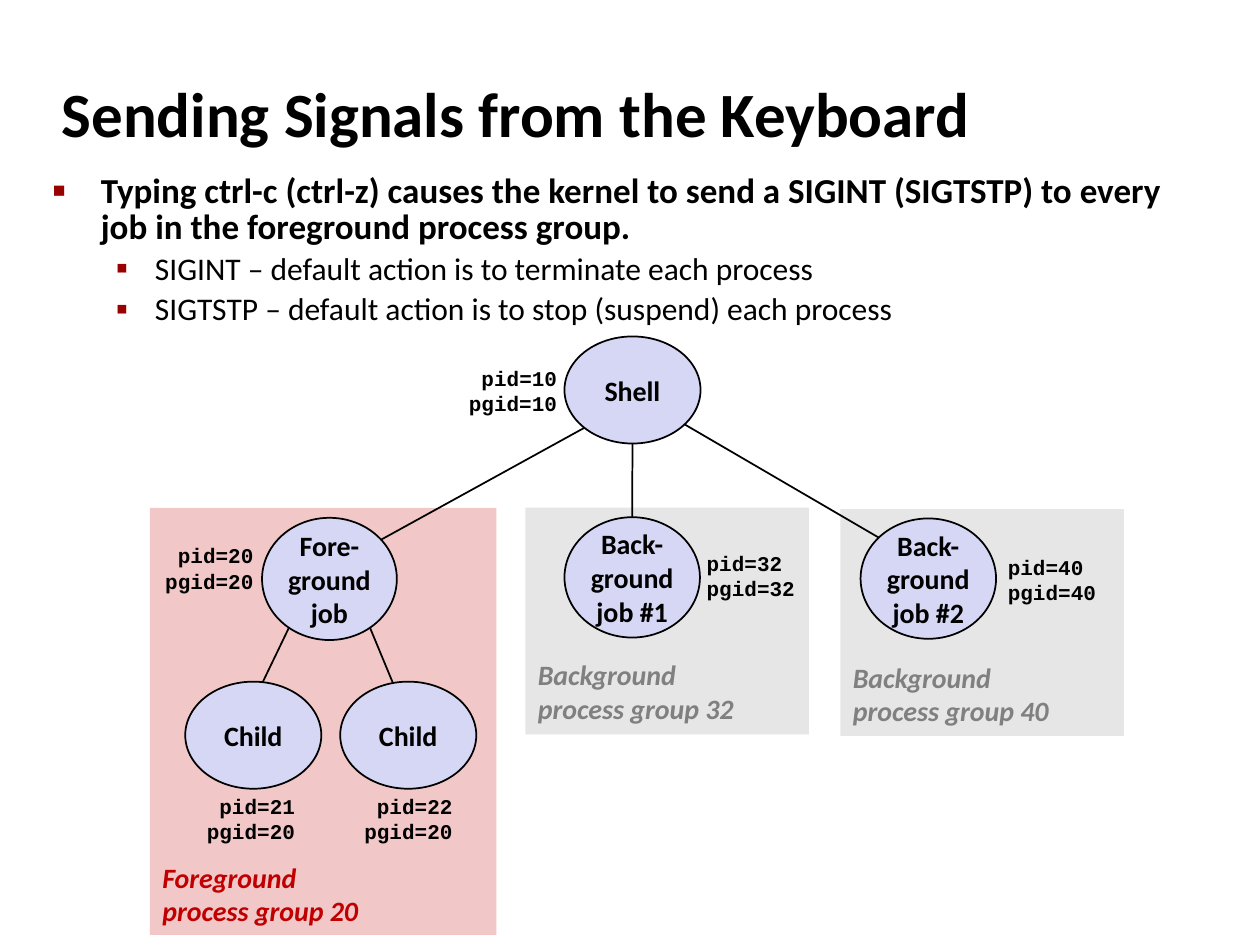
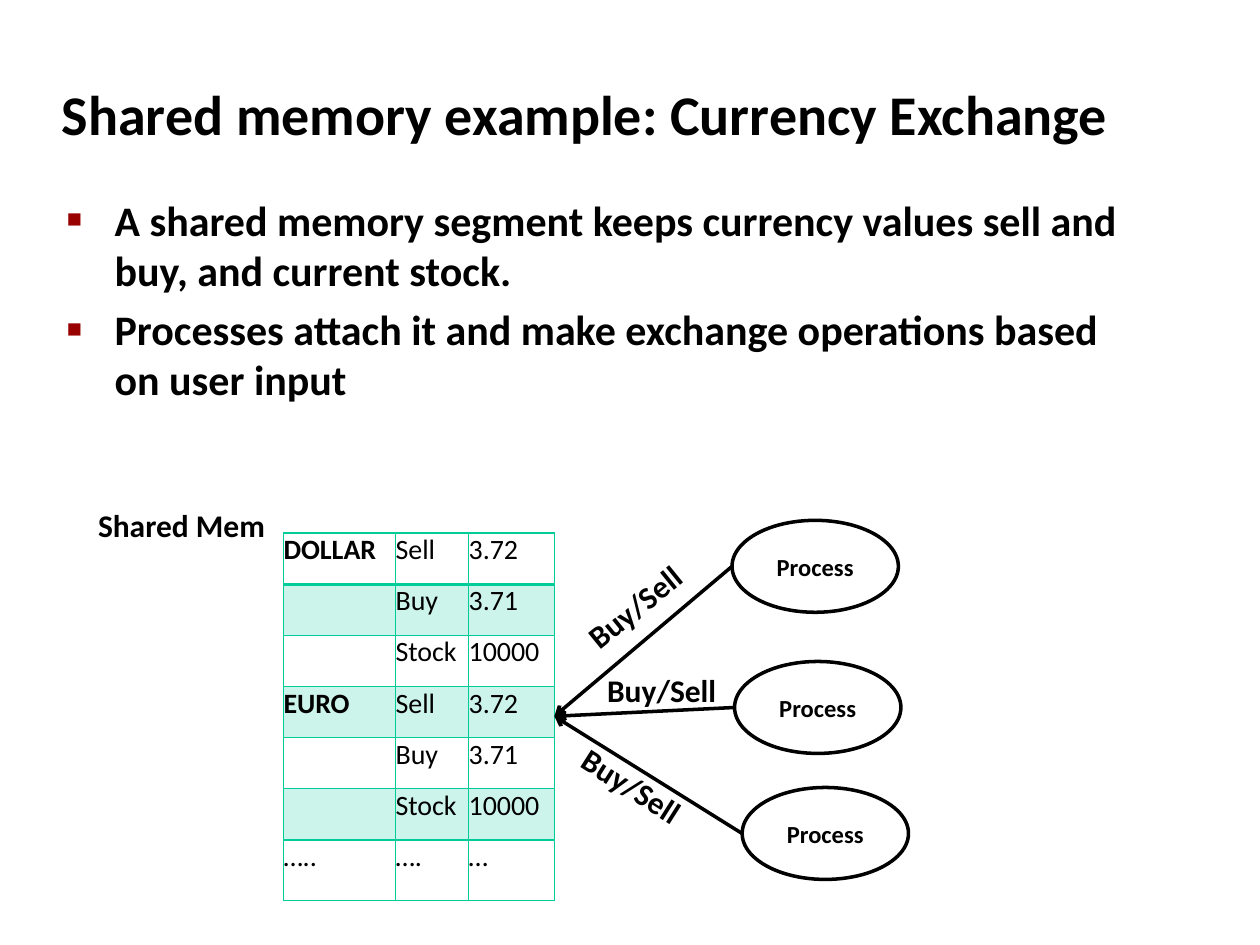
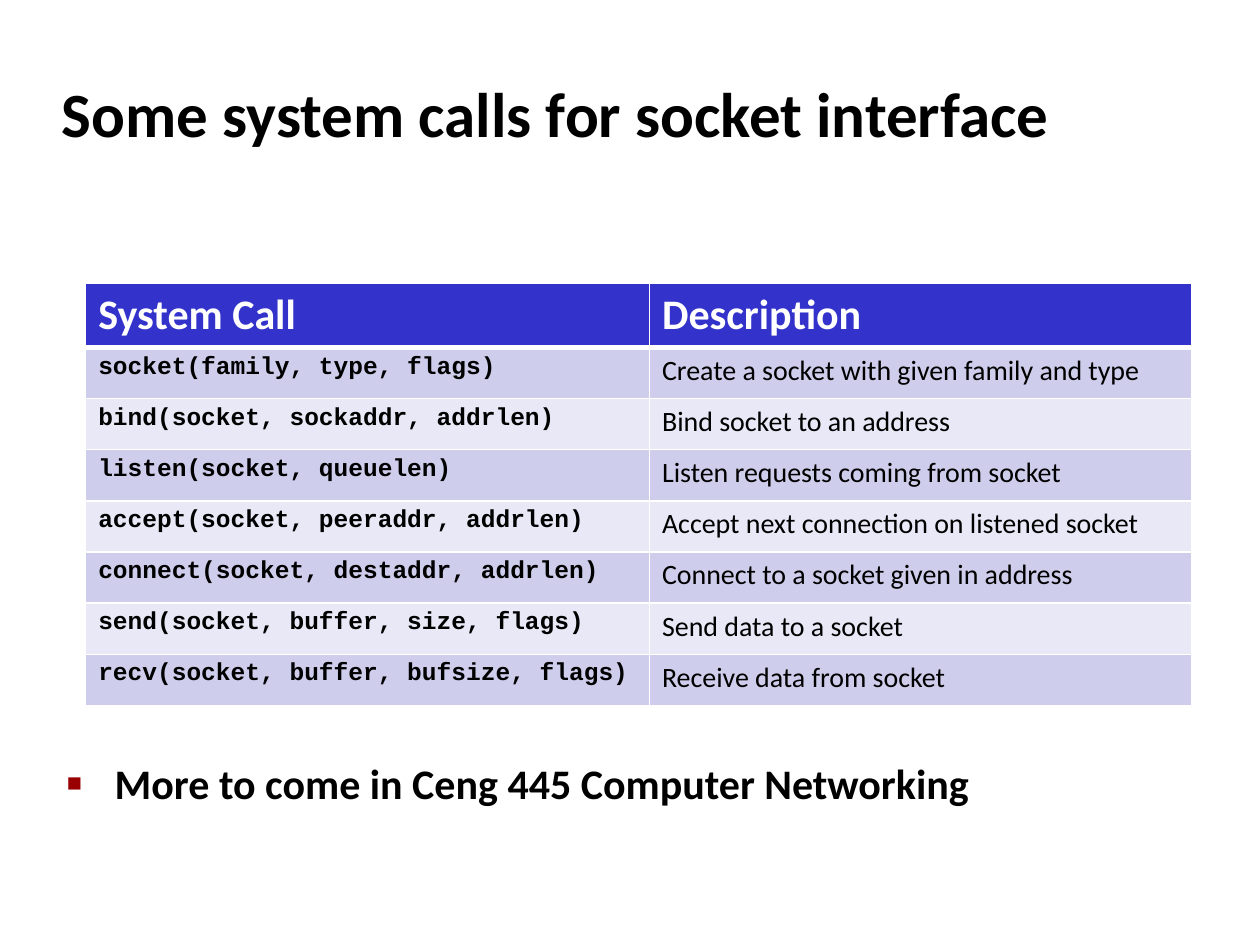
from dataclasses import dataclass, field, replace
from math import cos, radians, sin

from lxml.etree import SubElement
from pptx import Presentation
from pptx.dml.color import RGBColor
from pptx.enum.shapes import MSO_CONNECTOR, MSO_SHAPE
from pptx.enum.text import MSO_ANCHOR, MSO_AUTO_SIZE, PP_ALIGN
from pptx.oxml.ns import qn
from pptx.util import Inches, Pt

COLUMNS, ROWS = 100, 75
SLIDE_WIDTH, SLIDE_HEIGHT = Inches(10), Inches(7.5)


@dataclass(frozen=True)
class Style:
    """Look of a run of text."""
    size: float
    bold: bool = True
    italic: bool = False
    color: str = "000000"
    font: str = "Calibri"


@dataclass(frozen=True)
class Bullet:
    """Mark, spacing and text look of one list level."""
    mark: str
    scale: int
    margin: float
    hang: float
    style: Style
    spacing: float = 1.0


@dataclass(frozen=True)
class CellLook:
    """Text look, fill, opacity and lower border of a table cell."""
    style: Style
    fill: str = ""
    opacity: int = 100
    lower_border: float = 1


@dataclass(frozen=True)
class Theme:
    """Colours and type styles shared by the slides."""
    ink: str = "000000"
    white: str = "FFFFFF"
    bullet: str = "990000"
    node: str = "D6D6F5"
    foreground: str = "F1C7C7"
    background: str = "E6E6E6"
    mint: str = "00CC99"
    header: str = "3333CC"
    bands: tuple = ("CECEEC", "E8E8F6")
    title: Style = Style(36)
    job: Style = Style(16)
    pid: Style = Style(12, font="Courier New")
    group: Style = Style(16, italic=True, color="808080")
    memory: Style = Style(18)
    process: Style = Style(14)
    value: Style = Style(16, bold=False)
    code: Style = Style(14, font="Courier New")
    heading: Style = Style(24, color="FFFFFF")
    point: Bullet = field(default=Bullet("■", 60, 0.38, 0.38, Style(24)))
    subpoint: Bullet = field(default=Bullet("▪", 110, 0.81, 0.31, Style(18, bold=False), 0.9))


THEME = Theme()


@dataclass(frozen=True)
class Box:
    """Region measured in columns and rows of the slide grid."""
    left: float
    top: float
    width: float
    height: float

    def at(self, column, row, width, height):
        """Return a region offset from this one."""
        return Box(self.left + column, self.top + row, width, height)

    def rim(self, degrees):
        """Return the point on the inscribed ellipse, clockwise from the right."""
        angle = radians(degrees)
        return (self.left + self.width / 2 * (1 + cos(angle)),
                self.top + self.height / 2 * (1 + sin(angle)))

    def emu(self):
        """Return left, top, width and height as slide lengths."""
        return *to_emu(self.left, self.top), *to_emu(self.width, self.height)


PAGE = Box(0, 0, COLUMNS, ROWS)


def to_emu(column, row):
    """Turn a grid position into slide lengths."""
    return int(column * SLIDE_WIDTH / COLUMNS), int(row * SLIDE_HEIGHT / ROWS)


def add_run(paragraph, text, style):
    """Append one styled run."""
    run = paragraph.add_run()
    run.text = text
    run.font.name, run.font.size = style.font, Pt(style.size)
    run.font.bold, run.font.italic = style.bold, style.italic
    run.font.color.rgb = RGBColor.from_string(style.color)


def write(frame, lines, style, align=PP_ALIGN.LEFT):
    """Write each line as a paragraph."""
    for index, line in enumerate(lines):
        paragraph = frame.add_paragraph() if index else frame.paragraphs[0]
        paragraph.alignment = align
        add_run(paragraph, line, style)


def indent(paragraph, margin, hang):
    """Give a paragraph a hanging indent and return its properties."""
    properties = paragraph._p.get_or_add_pPr()
    properties.set("marL", str(Inches(margin)))
    properties.set("indent", str(-Inches(hang)))
    return properties


def place(holder, box):
    """Move a placeholder into a region."""
    holder.left, holder.top, holder.width, holder.height = box.emu()
    holder.text_frame.auto_size = MSO_AUTO_SIZE.NONE
    return holder.text_frame


def add_page(deck, title, style=THEME.title, width=83):
    """Add a slide with its title in the shared position."""
    slide = deck.slides.add_slide(deck.slide_layouts[1])
    frame = place(slide.shapes.title, PAGE.at(3.9, 4.8, width, 8.3))
    frame.vertical_anchor = MSO_ANCHOR.MIDDLE
    write(frame, [title], style)
    indent(frame.paragraphs[0], 0.13, 0.13)
    return slide


def fill_list(slide, box, items):
    """Fill the body placeholder with (level, bullet, text) items."""
    frame = place(slide.placeholders[1], box)
    for index, (level, bullet, text) in enumerate(items):
        paragraph = frame.add_paragraph() if index else frame.paragraphs[0]
        paragraph.level = level
        paragraph.line_spacing = bullet.spacing
        properties = indent(paragraph, bullet.margin, bullet.hang)
        SubElement(SubElement(properties, qn("a:buClr")), qn("a:srgbClr"), val=THEME.bullet)
        SubElement(properties, qn("a:buSzPct"), val=str(bullet.scale * 1000))
        SubElement(properties, qn("a:buFont"), typeface="Arial")
        SubElement(properties, qn("a:buChar"), char=bullet.mark)
        add_run(paragraph, text, bullet.style)


def add_figure(slide, kind, box, fill="", line=0):
    """Add a preset shape with a plain fill and outline."""
    figure = slide.shapes.add_shape(kind, *box.emu())
    figure.shadow.inherit = False
    if fill:
        figure.fill.solid()
        figure.fill.fore_color.rgb = RGBColor.from_string(fill)
    else:
        figure.fill.background()
    if line:
        figure.line.color.rgb = RGBColor.from_string(THEME.ink)
        figure.line.width = Pt(line)
    else:
        figure.line.fill.background()
    return figure


def add_oval(slide, box, lines, style, fill="", line=1, wrap=False):
    """Add a labelled ellipse and return its region."""
    frame = add_figure(slide, MSO_SHAPE.OVAL, box, fill, line).text_frame
    frame.word_wrap = wrap
    frame.vertical_anchor = MSO_ANCHOR.MIDDLE
    write(frame, lines, style, PP_ALIGN.CENTER)
    return box


def add_label(slide, box, lines, style, align=PP_ALIGN.LEFT, rotation=0):
    """Add free text that keeps its lines unbroken."""
    label = slide.shapes.add_textbox(*box.emu())
    label.rotation = rotation
    label.text_frame.word_wrap = False
    label.text_frame.auto_size = MSO_AUTO_SIZE.SHAPE_TO_FIT_TEXT
    write(label.text_frame, lines, style, align)


def add_link(slide, start, end, width=1, arrow=False):
    """Draw a straight line between two grid points."""
    link = slide.shapes.add_connector(MSO_CONNECTOR.STRAIGHT, *to_emu(*start), *to_emu(*end))
    link.line.color.rgb = RGBColor.from_string(THEME.ink)
    link.line.width = Pt(width)
    if arrow:
        SubElement(link.line._get_or_add_ln(), qn("a:tailEnd"), type="arrow")
    SubElement(link._element.spPr, qn("a:effectLst"))


def add_border(cell, side, color, width):
    """Draw one border of a table cell."""
    edge = SubElement(cell._tc.get_or_add_tcPr(), qn(f"a:{side}"), w=str(Pt(width)))
    SubElement(SubElement(edge, qn("a:solidFill")), qn("a:srgbClr"), val=color)


def add_grid(slide, box, widths, heights, records, look, border, inset=None):
    """Add a table whose cells take their look from look(row, column)."""
    grid = slide.shapes.add_table(len(records), len(widths), *box.emu()).table
    grid.first_row = grid.horz_banding = False
    for column, width in zip(grid.columns, widths):
        column.width = to_emu(width, 0)[0]
    for row, height in zip(grid.rows, heights):
        row.height = to_emu(0, height)[1]
    for r, record in enumerate(records):
        for c, text in enumerate(record):
            cell, cell_look = grid.cell(r, c), look(r, c)
            if inset is not None:
                cell.margin_left = cell.margin_right = inset
                cell.margin_top = cell.margin_bottom = inset
            upper = look(r - 1, c).lower_border if r else 1
            for side, weight in (("lnL", 1), ("lnR", 1), ("lnT", upper),
                                 ("lnB", cell_look.lower_border)):
                add_border(cell, side, border, weight)
            if cell_look.fill:
                cell.fill.solid()
                cell.fill.fore_color.rgb = RGBColor.from_string(cell_look.fill)
                if cell_look.opacity < 100:
                    tint = cell._tc.tcPr.find(qn("a:solidFill"))[0]
                    SubElement(tint, qn("a:alpha"), val=str(cell_look.opacity * 1000))
            else:
                cell.fill.background()
            if text:
                write(cell.text_frame, [text], cell_look.style)


def add_pid(slide, box, pid, group, align=PP_ALIGN.LEFT):
    """Label a process with its process and group numbers."""
    add_label(slide, box, [f"pid={pid}", f"pgid={group}"], THEME.pid, align)


def background_group(slide, box, number, group, job_column, pid_spot, name_row):
    """Draw a background process group and return its job's region."""
    add_figure(slide, MSO_SHAPE.RECTANGLE, box, THEME.background)
    job = add_oval(slide, box.at(job_column, 0.75, 10.75, 9.55),
                   ["Back-", "ground", f"job #{number}"], THEME.job, THEME.node)
    add_pid(slide, box.at(*pid_spot, 9.1, 5), group, group)
    add_label(slide, box.at(0, name_row, 17.8, 6.4),
              ["Background", f"process group {group}"], THEME.group)
    return job


def foreground_group(slide, box):
    """Draw the foreground process group and return its job's region."""
    add_figure(slide, MSO_SHAPE.RECTANGLE, box, THEME.foreground)
    job = add_oval(slide, box.at(8.9, 0.8, 10.7, 9.7),
                   ["Fore-", "ground", "job"], THEME.job, THEME.node)
    add_pid(slide, box.at(0.1, 2.3, 9.1, 5), 20, 20, PP_ALIGN.RIGHT)
    for index, (leave, arrive) in enumerate(((127, -82), (53, -103))):
        child = add_oval(slide, box.at(2.8 + 12.3 * index, 13.8, 10.8, 8.5),
                         ["Child"], THEME.job, THEME.node)
        add_link(slide, job.rim(leave), child.rim(arrive))
        add_pid(slide, box.at(3.4 + 12.5 * index, 22.2, 9.1, 5), 21 + index, 20, PP_ALIGN.RIGHT)
    add_label(slide, box.at(0, 27.5, 19.3, 6.4), ["Foreground", "process group 20"],
              replace(THEME.group, color="C00000"))
    return job


def process_tree(slide, box):
    """Draw the shell above its three process groups."""
    second = background_group(slide, box.at(54.8, 13.7, 22.5, 18), 2, 40, 1.6, (12.3, 3.1), 11.5)
    first = background_group(slide, box.at(29.8, 13.6, 22.5, 18), 1, 32, 3.1, (13.4, 2.9), 11.4)
    foreground = foreground_group(slide, box.at(0, 13.6, 27.5, 33.9))
    shell = add_oval(slide, box.at(32.9, 0, 10.8, 8.5), ["Shell"], THEME.job, THEME.node)
    add_pid(slide, box.at(24.2, 1.8, 9.1, 5), 10, 10, PP_ALIGN.RIGHT)
    for job, leave, arrive in ((foreground, 135, -40), (first, 90, -90), (second, 40, -137)):
        add_link(slide, shell.rim(leave), job.rim(arrive))


def signals_page(deck):
    """Build the slide on signals from the keyboard."""
    slide = add_page(deck, "Sending Signals from the Keyboard")
    lead = replace(THEME.point, style=Style(20), spacing=0.85)
    fill_list(slide, PAGE.at(3.2, 13.4, 90.9, 14.1), [
        (0, lead, "Typing ctrl-c (ctrl-z) causes the kernel to send a SIGINT (SIGTSTP) "
                  "to every job in the foreground process group."),
        (1, THEME.subpoint, "SIGINT – default action is to terminate each process"),
        (1, THEME.subpoint, "SIGTSTP – default action is to stop (suspend) each process"),
    ])
    process_tree(slide, PAGE.at(11.9, 26.7, 77.3, 47.5))


def rate_look(row, column):
    """Return the look of a cell in the currency table."""
    style = replace(THEME.value, bold=column == 0 and row < 6)
    return CellLook(style, THEME.mint if row % 2 else "", 20, 1 if row else 2)


def exchange_diagram(slide, box):
    """Draw the shared memory table and the processes attached to it."""
    quotes = [("Sell", "3.72"), ("Buy", "3.71"), ("Stock", "10000")]
    records = [("" if index else currency, *quote)
               for currency in ("DOLLAR", "EURO") for index, quote in enumerate(quotes)]
    records.append(("…..", "….", "…"))
    memory = box.at(15.7, 2.6, 21.5, 29.1)
    add_grid(slide, memory, (8.9, 5.8, 6.8), [4.06] * 6 + [4.8], records,
             rate_look, THEME.mint, inset=0)
    add_label(slide, box.at(0, 0, 15.4, 4), ["Shared Mem"], THEME.memory)
    hub = memory.left + memory.width, memory.top + memory.height / 2
    for spot, caption_spot, tilt in (((51.3, 1.6), (38.2, 6.4), -39.1),
                                     ((51.5, 12.8), (40.4, 13.1), 0),
                                     ((52.1, 22.8), (38, 20.7), 32.4)):
        process = add_oval(slide, box.at(*spot, 13.2, 7.3), ["Process"], THEME.process,
                           line=2, wrap=True)
        add_link(slide, process.rim(180), hub, 2, arrow=True)
        add_label(slide, box.at(*caption_spot, 10.8, 4), ["Buy/Sell"], THEME.memory,
                  rotation=tilt)


def exchange_page(deck):
    """Build the shared memory slide."""
    slide = add_page(deck, "Shared memory example: Currency Exchange",
                     replace(THEME.title, size=32), 88)
    fill_list(slide, PAGE.at(4.3, 14.9, 86.4, 54.4), [
        (0, THEME.point, "A shared memory segment keeps currency values sell and buy, "
                         "and current stock."),
        (0, THEME.point, "Processes attach it and make exchange operations based on user input"),
    ])
    exchange_diagram(slide, PAGE.at(6.8, 39.7, 65.3, 31.7))


def call_look(row, column):
    """Return the look of a cell in the system call table."""
    if row == 0:
        return CellLook(THEME.heading, THEME.header, lower_border=3)
    return CellLook(THEME.value if column else THEME.code, THEME.bands[(row - 1) % 2])


def sockets_page(deck):
    """Build the slide on socket system calls."""
    slide = add_page(deck, "Some system calls for socket interface")
    fill_list(slide, PAGE.at(4.3, 59.6, 86.4, 9.6),
              [(0, THEME.point, "More to come in Ceng 445 Computer Networking")])
    records = [
        ("System Call", "Description"),
        ("socket(family, type, flags)", "Create a socket with given family and type"),
        ("bind(socket, sockaddr, addrlen)", "Bind socket to an address"),
        ("listen(socket, queuelen)", "Listen requests coming from socket"),
        ("accept(socket, peeraddr, addrlen)", "Accept next connection on listened socket"),
        ("connect(socket, destaddr, addrlen)", "Connect to a socket given in address"),
        ("send(socket, buffer, size, flags)", "Send data to a socket"),
        ("recv(socket, buffer, bufsize, flags)", "Receive data from socket"),
    ]
    add_grid(slide, PAGE.at(6.8, 22.5, 87.8, 32.4), (44.75, 43), [4.06] * len(records),
             records, call_look, THEME.white)


def main():
    """Build the deck and save it."""
    deck = Presentation()
    deck.slide_width, deck.slide_height = SLIDE_WIDTH, SLIDE_HEIGHT
    for build_page in (signals_page, exchange_page, sockets_page):
        build_page(deck)
    deck.save("out.pptx")


if __name__ == "__main__":
    main()
